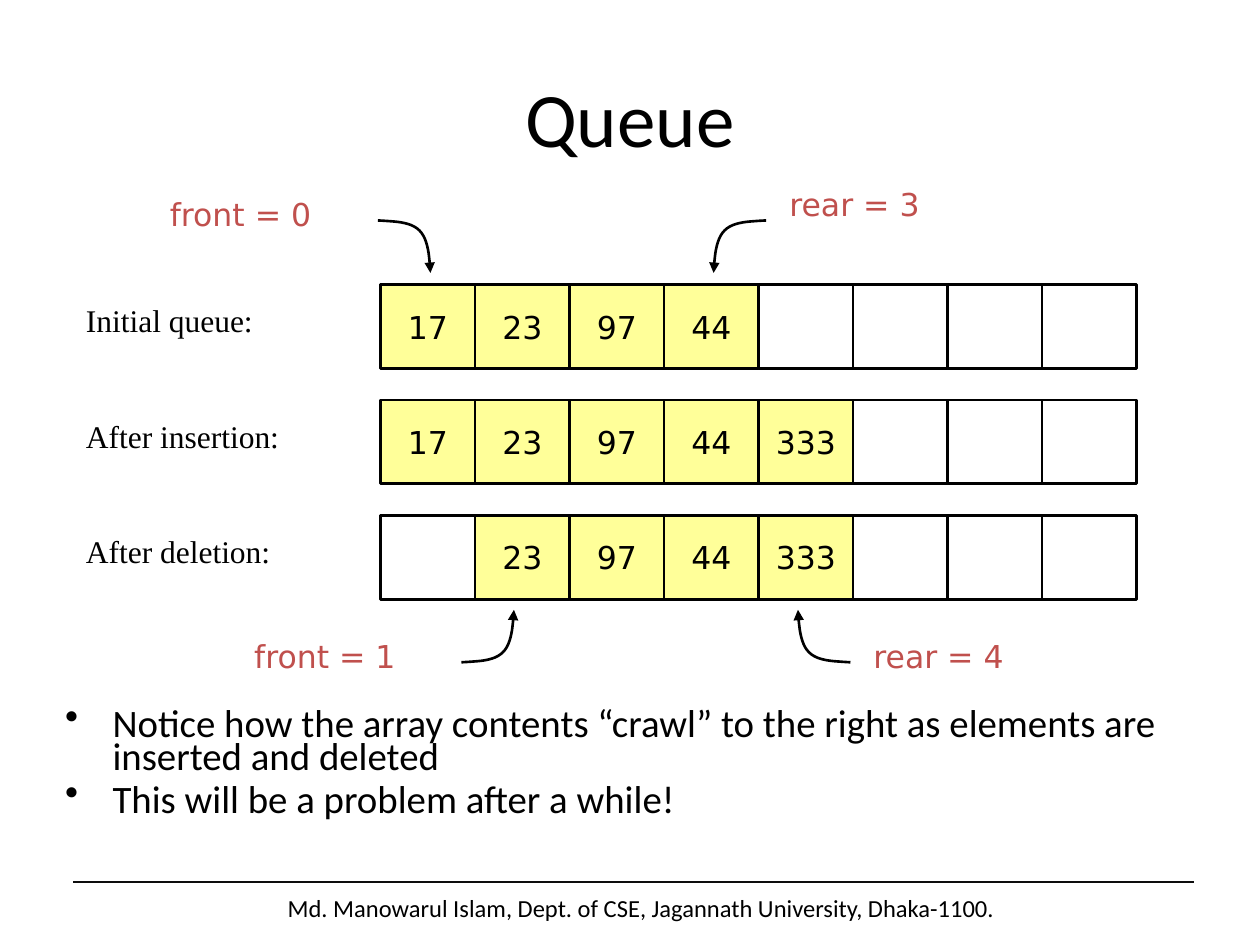
from lxml.etree import SubElement
from pptx import Presentation
from pptx.dml.color import RGBColor
from pptx.enum.shapes import MSO_CONNECTOR, MSO_SHAPE
from pptx.enum.text import MSO_ANCHOR, PP_ALIGN
from pptx.oxml.ns import qn
from pptx.util import Pt

COLORS = {"text": "000000", "pointer": "C0504D", "filled": "FFFF99", "rule": "0D0D0D"}

presentation = Presentation()
presentation.slide_width, presentation.slide_height = Pt(720), Pt(540)
slide = presentation.slides.add_slide(presentation.slide_layouts[6])


def write_text(shape, lines, font, size, color="text", align=PP_ALIGN.LEFT):
    frame = shape.text_frame
    frame.text = "\n".join(lines)
    for paragraph in frame.paragraphs:
        paragraph.alignment = align
        paragraph.font.name = font
        paragraph.font.size = Pt(size)
        paragraph.font.color.rgb = RGBColor.from_string(COLORS[color])
    return frame


def add_text(left, top, width, height, lines, font, size, **style):
    box = slide.shapes.add_textbox(Pt(left), Pt(top), Pt(width), Pt(height))
    frame = write_text(box, lines, font, size, **style)
    frame.word_wrap = True
    return frame


# Title
title = add_text(36, 21.6, 648, 90, ["Queue"], "Calibri", 44, align=PP_ALIGN.CENTER)
title.vertical_anchor = MSO_ANCHOR.MIDDLE

# Footer with its rule
add_text(27.4, 507, 678, 24.5,
         ["Md. Manowarul Islam, Dept. of CSE, Jagannath University, Dhaka-1100."],
         "Calibri", 14, align=PP_ALIGN.CENTER)
rule = slide.shapes.add_connector(MSO_CONNECTOR.STRAIGHT, Pt(42), Pt(504), Pt(682.5), Pt(504))
rule.line.color.rgb = RGBColor.from_string(COLORS["rule"])
rule.line.width = Pt(1)
SubElement(rule._element.spPr, qn("a:effectLst"))

# Queue states: one row of eight cells each
CELL_WIDTH, CELL_HEIGHT = 54, 48
GRID_LEFT, GRID_TOP, ROW_PITCH = 217.5, 162.5, 66
states = [
    ("Initial queue:", ["17", "23", "97", "44", "", "", "", ""]),
    ("After insertion:", ["17", "23", "97", "44", "333", "", "", ""]),
    ("After deletion:", ["", "23", "97", "44", "333", "", "", ""]),
]
for row, (label, values) in enumerate(states):
    top = GRID_TOP + row * ROW_PITCH
    add_text(42, top + 6, 162, 28.8, [label], "Times New Roman", 18)
    for column, value in enumerate(values):
        cell = slide.shapes.add_shape(
            MSO_SHAPE.RECTANGLE, Pt(GRID_LEFT + column * CELL_WIDTH), Pt(top),
            Pt(CELL_WIDTH), Pt(CELL_HEIGHT))
        cell.shadow.inherit = False
        cell.line.color.rgb = RGBColor.from_string(COLORS["text"])
        cell.line.width = Pt(1.5)
        if value:
            cell.fill.solid()
            cell.fill.fore_color.rgb = RGBColor.from_string(COLORS["filled"])
            frame = write_text(cell, [value], "DejaVu Sans", 18, align=PP_ALIGN.CENTER)
            frame.vertical_anchor = MSO_ANCHOR.MIDDLE
            frame.word_wrap = False
        else:
            cell.fill.background()

# Bend of a pointer arrow in a unit square, traced along two Bézier curves
STEPS = 12
bend = []
for curve in ([(0, 0), (0.31, 0.02), (0.62, 0.02), (0.79, 0.19)],
              [(0.79, 0.19), (0.96, 0.36), (0.98, 0.69), (1, 1)]):
    for step in range(1, STEPS + 1):
        t = step / STEPS
        weights = ((1 - t) ** 3, 3 * t * (1 - t) ** 2, 3 * t ** 2 * (1 - t), t ** 3)
        bend.append(tuple(sum(w * point[axis] for w, point in zip(weights, curve))
                          for axis in (0, 1)))

# Front and rear pointers: text, its place, arrow start, and arrow direction
ARROW_SIZE = 30
pointers = [
    ("front = 0", 90, 108, 216, 126, 1, 1),
    ("rear = 3", 444, 102.2, 437.8, 126, -1, 1),
    ("front = 1", 138.2, 360.4, 263.7, 378.5, 1, -1),
    ("rear = 4", 492, 360.4, 486, 378.5, -1, -1),
]
for text, left, top, start_x, start_y, across, down in pointers:
    add_text(left, top, 132, 28.8, [text], "DejaVu Sans", 18, color="pointer")
    builder = slide.shapes.build_freeform(Pt(start_x), Pt(start_y))
    builder.add_line_segments(
        [(Pt(start_x + across * ARROW_SIZE * x), Pt(start_y + down * ARROW_SIZE * y))
         for x, y in bend], close=False)
    arrow = builder.convert_to_shape()
    arrow.shadow.inherit = False
    arrow.fill.background()
    arrow.line.color.rgb = RGBColor.from_string(COLORS["text"])
    arrow.line.width = Pt(1.5)
    SubElement(arrow.line._get_or_add_ln(), qn("a:tailEnd"), type="triangle")

# Remarks as a bulleted list
remarks = add_text(
    30.2, 403.2, 675.4, 75,
    ["Notice how the array contents “crawl” to the right as elements are inserted and deleted",
     "This will be a problem after a while!"], "Calibri", 22.2)
for paragraph in remarks.paragraphs:
    paragraph.line_spacing = 0.7
    paragraph.space_before = Pt(6)
    properties = paragraph._p.get_or_add_pPr()
    properties.set("marL", str(Pt(27)))
    properties.set("indent", str(-Pt(27)))
    bullet = properties.makeelement(qn("a:buChar"), {"char": "•"})
    properties.find(qn("a:defRPr")).addprevious(bullet)

presentation.save("out.pptx")
